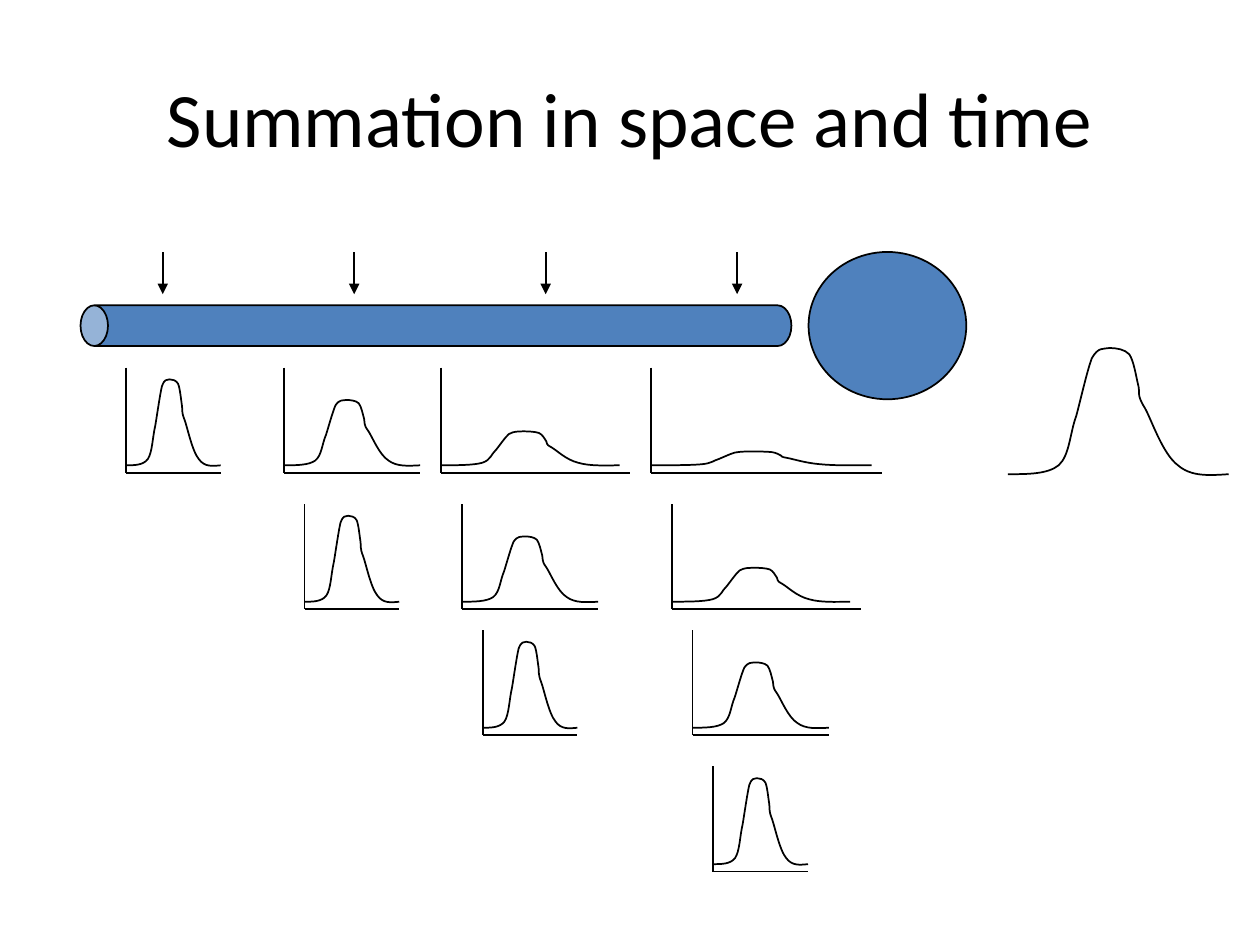
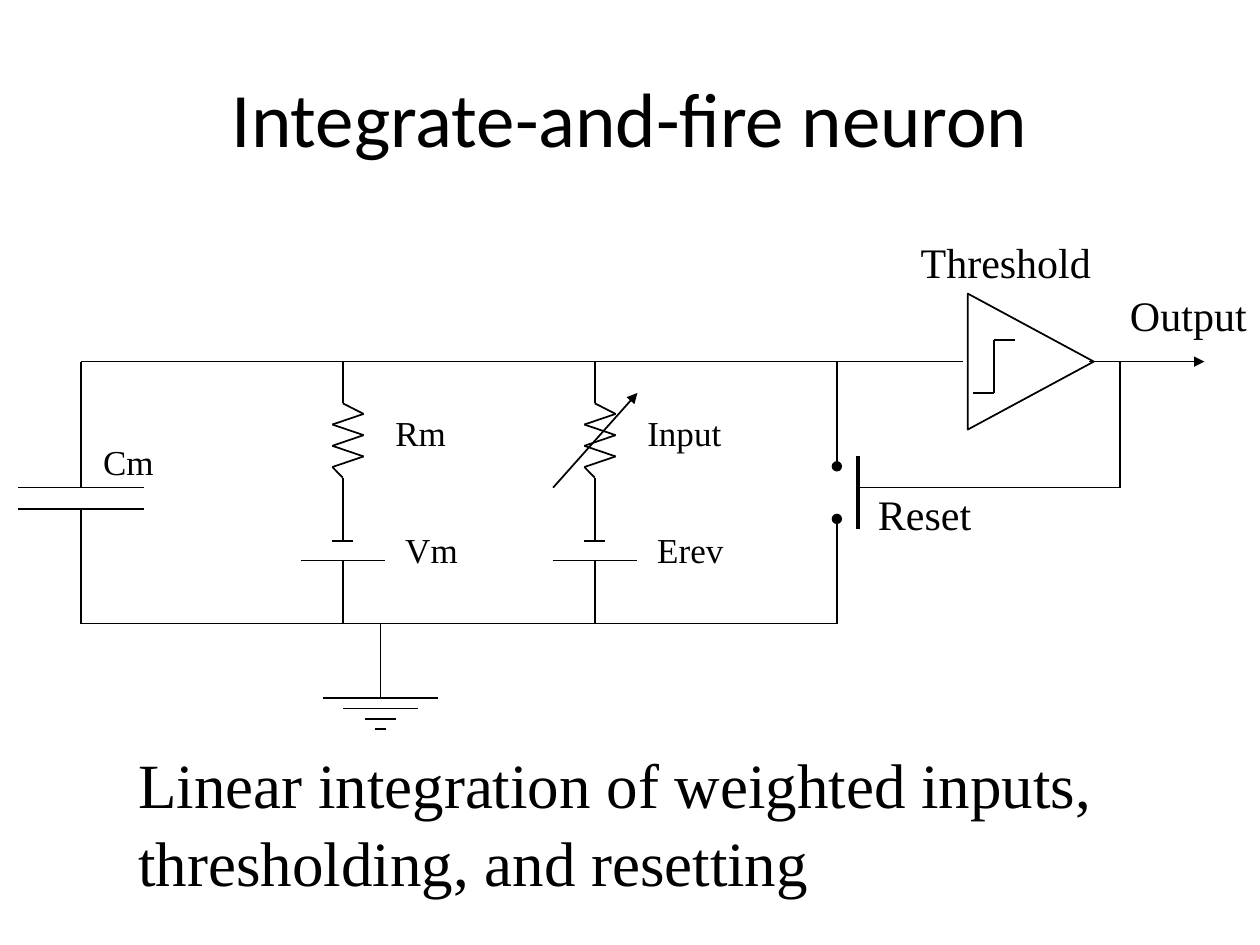
"""Build two slides on summation and the integrate-and-fire neuron."""
import dataclasses
from typing import Optional

import lxml.etree
import pptx
import pptx.dml.color
import pptx.enum.shapes
import pptx.enum.text
import pptx.oxml.ns
import pptx.util

Cm = pptx.util.Cm
Pt = pptx.util.Pt
qn = pptx.oxml.ns.qn
SHAPE = pptx.enum.shapes.MSO_SHAPE
ALIGN = pptx.enum.text.PP_ALIGN
ANCHOR = pptx.enum.text.MSO_ANCHOR

COLORS = {"ink": "000000", "cell": "4F81BD", "paper": "FFFFFF"}
TITLE_FONT = "Calibri"
LABEL_FONT = "Times New Roman"


@dataclasses.dataclass
class Wire:
    points: list
    tail: Optional[str] = None
    weight: float = 1


@dataclasses.dataclass
class Label:
    text: str
    left: float
    top: float
    width: float
    height: float = 1.02
    size: int = 20


@dataclasses.dataclass
class Stage:
    axis_width: float
    pulse_width: float
    pulse_height: float


STAGES = [
    Stage(1.91, 1.91, 1.75),
    Stage(2.75, 2.75, 1.33),
    Stage(3.81, 3.6, 0.69),
    Stage(4.66, 4.45, 0.28),
]
COLUMN_LEFTS = [2.54, 5.72, 8.89, 13.12]
ROW_TOPS = [7.41, 10.16, 12.7, 15.45]
ROW_INDENT = 0.42
AXIS_HEIGHT = 2.12
PULSE_LIFT = 0.15

PULSE_BEZIERS = [
    (0, 0),
    (9, 0), (18, 0), (23, 7),
    (28, 15), (28, 32), (31, 46),
    (33, 59), (36, 82), (38, 91),
    (41, 100), (43, 98), (46, 99),
    (49, 99), (53, 98), (55, 94),
    (57, 89), (58, 77), (59, 70),
    (60, 64), (58, 63), (62, 52),
    (65, 43), (70, 16), (77, 7),
    (83, -2), (91, -1), (100, 0),
]

TOP_RAIL, BOTTOM_RAIL = 7.29, 12.57


def rgb(name: str) -> pptx.dml.color.RGBColor:
    """Return a named colour."""
    return pptx.dml.color.RGBColor.from_string(COLORS[name])


def write(tf, text: str, *, font: str, size: float, align=ALIGN.LEFT,
          anchor=ANCHOR.TOP, wrap: bool = False, gap: float = 0) -> None:
    """Fill a text frame with one paragraph per line of text."""
    tf.word_wrap = wrap
    tf.vertical_anchor = anchor
    for i, line in enumerate(text.split("\n")):
        p = tf.paragraphs[0] if i == 0 else tf.add_paragraph()
        p.alignment = align
        if i:
            p.space_before = Pt(gap)
        r = p.add_run()
        r.text = line
        r.font.name = font
        r.font.size = Pt(size)
        r.font.color.rgb = rgb("ink")


def add_titled_slide(prs, title: str):
    """Add a title-only slide with the shared title style."""
    s = prs.slides.add_slide(prs.slide_layouts[5])
    s.background.fill.solid()
    s.background.fill.fore_color.rgb = rgb("paper")
    sp = s.shapes.title
    sp.left, sp.top, sp.width, sp.height = Cm(1.27), Cm(0.76), Cm(22.86), Cm(3.18)
    write(sp.text_frame, title, font=TITLE_FONT, size=44, align=ALIGN.CENTER,
          anchor=ANCHOR.MIDDLE, wrap=True)
    return s


def style(sp, fill: Optional[str] = None) -> None:
    """Give a shape a black outline, no shadow and an optional fill."""
    sp.shadow.inherit = False
    sp.line.color.rgb = rgb("ink")
    sp.line.width = Pt(1)
    if fill:
        sp.fill.solid()
        sp.fill.fore_color.rgb = rgb(fill)
    else:
        sp.fill.background()


def add_preset(s, kind, left: float, top: float, width: float, height: float,
               fill: Optional[str] = None, rotation: float = 0):
    """Add a styled preset shape."""
    sp = s.shapes.add_shape(kind, Cm(left), Cm(top), Cm(width), Cm(height))
    sp.rotation = rotation
    style(sp, fill)
    return sp


def draw_wire(s, wire: Wire) -> None:
    """Draw a chain of straight connectors, with any end mark on the last."""
    for start, end in zip(wire.points, wire.points[1:]):
        c = s.shapes.add_connector(pptx.enum.shapes.MSO_CONNECTOR.STRAIGHT,
                                   *map(Cm, start + end))
        c.line.color.rgb = rgb("ink")
        c.line.width = Pt(wire.weight)
        lxml.etree.SubElement(c._element.spPr, qn("a:effectLst"))
    if wire.tail:
        mark = lxml.etree.SubElement(c._element.spPr.find(qn("a:ln")), qn("a:tailEnd"))
        mark.set("type", wire.tail)


def draw_label(s, label: Label) -> None:
    """Draw a text box that grows with its text."""
    sp = s.shapes.add_textbox(*map(Cm, (label.left, label.top, label.width, label.height)))
    write(sp.text_frame, label.text, font=LABEL_FONT, size=label.size, gap=1.5)
    sp.text_frame.auto_size = pptx.enum.text.MSO_AUTO_SIZE.SHAPE_TO_FIT_TEXT


def bend(sp) -> None:
    """Turn every three line segments of a freeform into one Bezier curve."""
    outline = next(sp._element.iter(qn("a:path")))
    segments = outline.findall(qn("a:lnTo"))
    for i in range(0, len(segments), 3):
        curve = lxml.etree.SubElement(outline, qn("a:cubicBezTo"))
        for segment in segments[i:i + 3]:
            curve.append(segment[0])
            outline.remove(segment)


def draw_pulse(s, left: float, base: float, width: float, height: float) -> None:
    """Draw a potential that rises from its base line and decays."""
    points = [(Cm(left + x * width / 100), Cm(base - y * height / 100))
              for x, y in PULSE_BEZIERS]
    builder = s.shapes.build_freeform(*points[0])
    builder.add_line_segments(points[1:], close=False)
    sp = builder.convert_to_shape()
    bend(sp)
    style(sp)


def draw_plot(s, left: float, top: float, stage: Stage) -> None:
    """Draw the axes and pulse of one stage of decay."""
    base = top + AXIS_HEIGHT
    draw_wire(s, Wire([(left, top), (left, base), (left + stage.axis_width, base)]))
    draw_pulse(s, left, base - PULSE_LIFT, stage.pulse_width, stage.pulse_height)


def build_summation(prs) -> None:
    """Build the slide on summation along a dendrite."""
    s = add_titled_slide(prs, "Summation in space and time")
    add_preset(s, SHAPE.OVAL, 16.3, 5.08, 3.18, 2.97, "cell")
    dendrite = add_preset(s, SHAPE.CAN, 8.38, -0.6, 0.82, 14.33, "cell", 270)
    dendrite.adjustments[0] = 0.675
    for i in range(4):
        x = 3.28 + 3.86 * i
        draw_wire(s, Wire([(x, 5.08), (x, 5.93)], "triangle"))
    for row, top in enumerate(ROW_TOPS):
        for column in range(row, len(COLUMN_LEFTS)):
            draw_plot(s, COLUMN_LEFTS[column] + row * ROW_INDENT, top, STAGES[column - row])
    draw_pulse(s, 20.32, 9.56, 4.45, 2.57)


def draw_branch(s, x: float, resistor: Label, battery: Label) -> None:
    """Draw a resistor and battery in series between the rails."""
    zigzag = [(x + (0.42 if i % 2 else -0.21), 8.13 + i * 1.5 / 7) for i in range(1, 7)]
    draw_wire(s, Wire([(x, TOP_RAIL), (x, 8.13), *zigzag, (x, 9.63), (x, 10.9)]))
    draw_wire(s, Wire([(x - 0.21, 10.9), (x + 0.21, 10.9)]))
    draw_wire(s, Wire([(x - 0.85, 11.3), (x + 0.85, 11.3)]))
    draw_wire(s, Wire([(x, 11.3), (x, BOTTOM_RAIL)]))
    draw_label(s, resistor)
    draw_label(s, battery)


def build_neuron(prs) -> None:
    """Build the slide with the integrate-and-fire circuit."""
    s = add_titled_slide(prs, "Integrate-and-fire neuron")
    capacitor, switch, ground = 1.63, 16.87, 7.67
    add_preset(s, SHAPE.ISOSCELES_TRIANGLE, 19.41, 6.02, 2.74, 2.54, rotation=90)
    wires = [
        Wire([(19.41, TOP_RAIL), (capacitor, TOP_RAIL), (capacitor, 9.83)]),
        Wire([(0.36, 9.83), (2.9, 9.83)]),
        Wire([(0.36, 10.26), (2.9, 10.26)]),
        Wire([(capacitor, 10.26), (capacitor, BOTTOM_RAIL), (switch, BOTTOM_RAIL)]),
        Wire([(ground, BOTTOM_RAIL), (ground, 14.07)]),
        Wire([(11.15, 9.83), (12.85, 7.92)], "triangle"),
        Wire([(switch, TOP_RAIL), (switch, 9.4)], "oval"),
        Wire([(switch, BOTTOM_RAIL), (switch, 10.46)], "oval"),
        Wire([(17.3, 9.19), (17.3, 10.67)], weight=2.25),
        Wire([(20.47, 6.86), (20.04, 6.86), (20.04, 7.92), (19.61, 7.92)]),
        Wire([(21.95, TOP_RAIL), (24.28, TOP_RAIL)], "triangle"),
        Wire([(22.58, TOP_RAIL), (22.58, 9.83), (17.3, 9.83)]),
    ]
    for i, half in enumerate([1.16, 0.75, 0.32, 0.11]):
        y = 14.07 + 0.21 * i
        wires.append(Wire([(ground - half, y), (ground + half, y)]))
    for wire in wires:
        draw_wire(s, wire)

    draw_branch(s, 6.91, Label("Rm", 7.72, 8.18, 1.55), Label("Vm", 7.92, 10.52, 1.57))
    draw_branch(s, 11.99, Label("Input", 12.8, 8.18, 2.01), Label("Erev", 13, 10.52, 1.85))
    for label in [
        Label("Cm", 1.83, 8.76, 1.55),
        Label("Reset", 17.45, 9.73, 2.41, 1.17, 24),
        Label("Threshold", 18.31, 4.65, 3.99, 1.17, 24),
        Label("Output", 22.53, 5.72, 2.9, 1.17, 24),
        Label("Linear integration of weighted inputs,\nthresholding, and resetting",
              2.54, 14.9, 19.94, 2.97, 36),
    ]:
        draw_label(s, label)


def main() -> None:
    """Build and save the presentation."""
    prs = pptx.Presentation()
    prs.slide_width, prs.slide_height = Cm(25.4), Cm(19.05)
    build_summation(prs)
    build_neuron(prs)
    prs.save("out.pptx")


if __name__ == "__main__":
    main()
